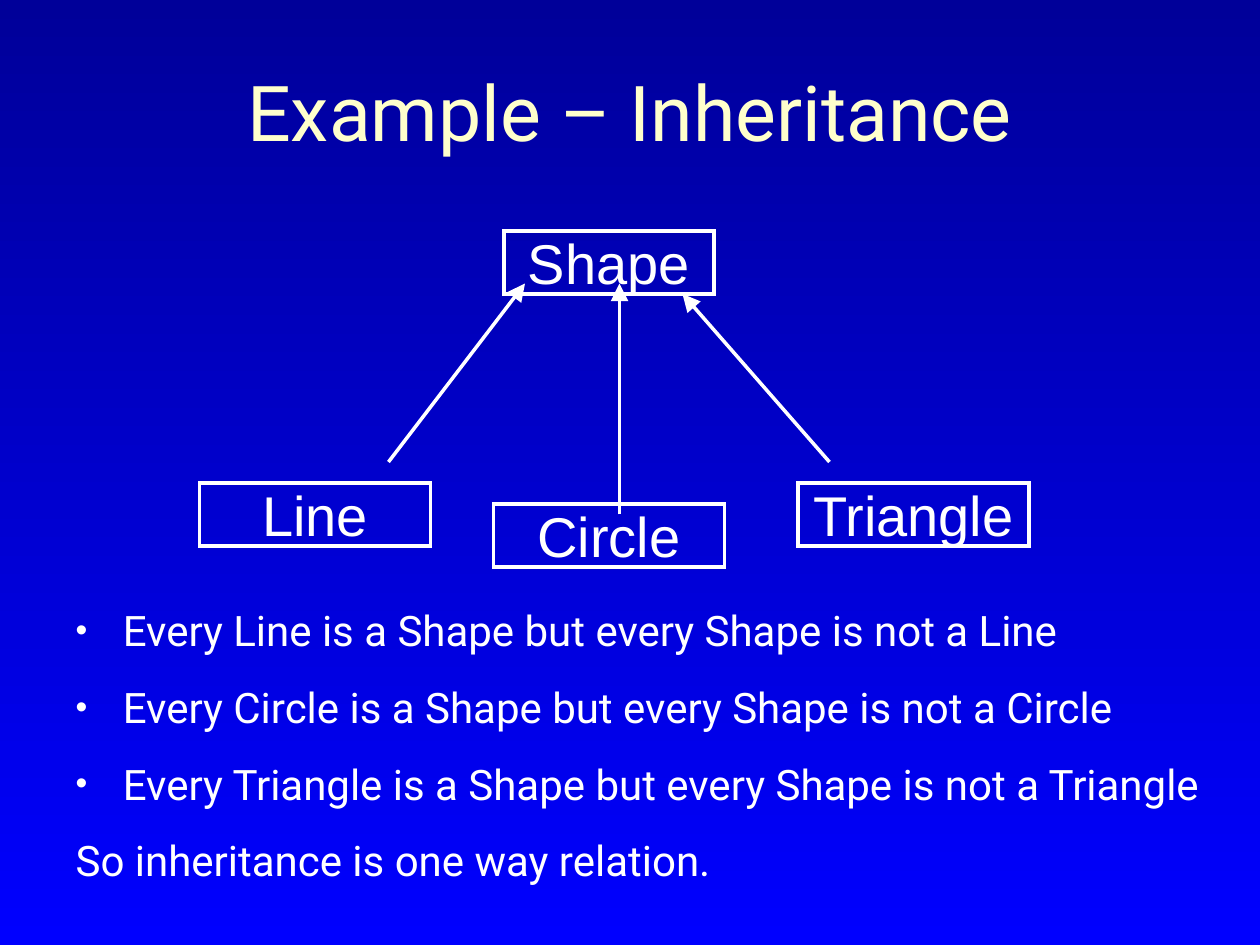
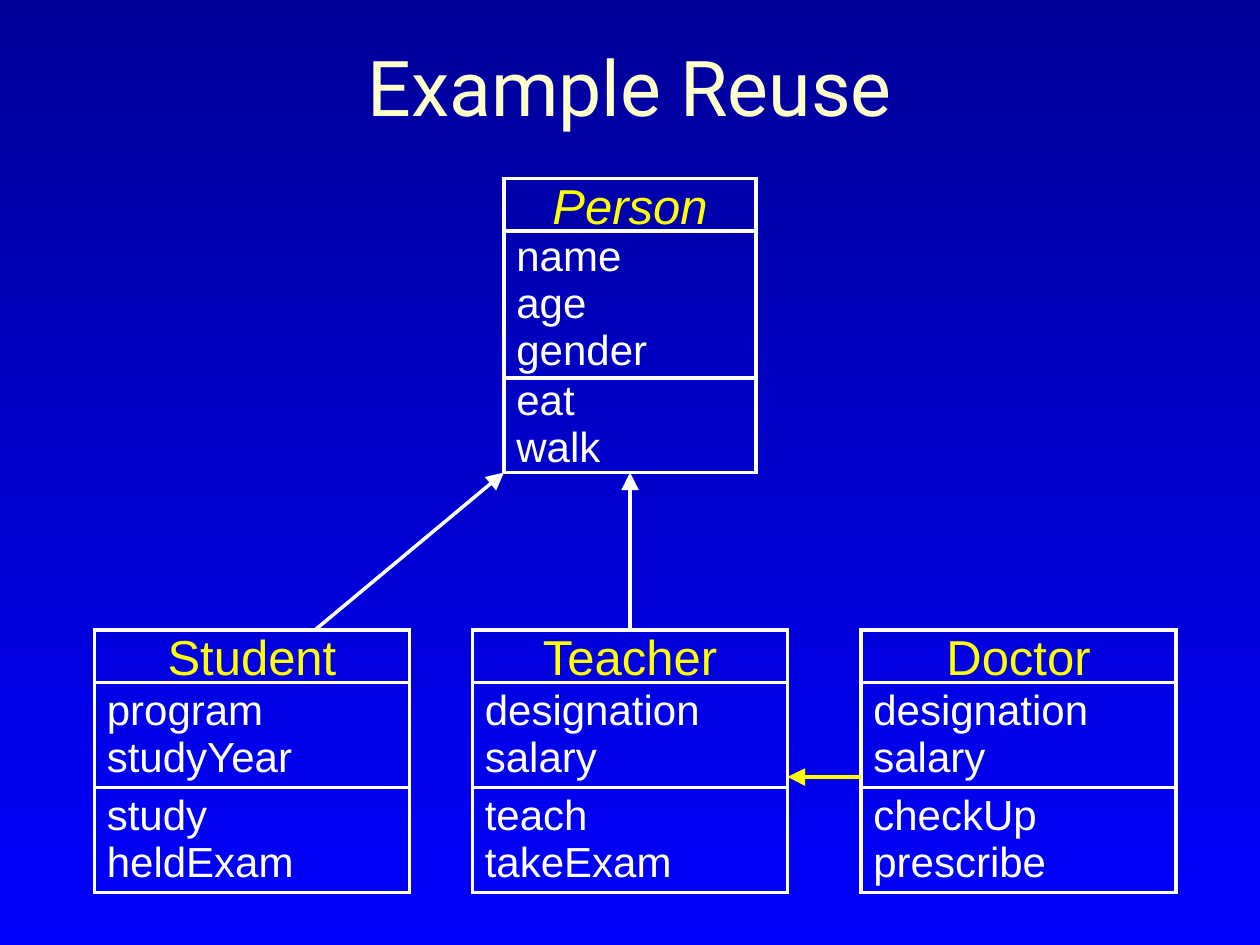
from dataclasses import dataclass

from lxml import etree
from pptx import Presentation
from pptx.dml.color import RGBColor
from pptx.enum.shapes import MSO_CONNECTOR, MSO_SHAPE
from pptx.enum.text import MSO_ANCHOR, MSO_AUTO_SIZE, PP_ALIGN
from pptx.oxml.ns import qn
from pptx.shapes.autoshape import Shape
from pptx.shapes.connector import Connector
from pptx.slide import Slide
from pptx.text.text import TextFrame
from pptx.util import Pt

NAVY = RGBColor(0x00, 0x00, 0x99)
BLUE = RGBColor(0x00, 0x00, 0xFF)
CREAM = RGBColor(0xFF, 0xFF, 0xCC)
WHITE = RGBColor(0xFF, 0xFF, 0xFF)
YELLOW = RGBColor(0xFF, 0xFF, 0x00)

RECT = MSO_SHAPE.RECTANGLE
STRAIGHT = MSO_CONNECTOR.STRAIGHT
LEFT, CENTER = PP_ALIGN.LEFT, PP_ALIGN.CENTER
TOP, MIDDLE = MSO_ANCHOR.TOP, MSO_ANCHOR.MIDDLE
FIXED = MSO_AUTO_SIZE.NONE
TOP_SIDE, LOW_SIDE = 0, 2

LINE_W = Pt(2)
INDENT = Pt(27)


@dataclass(frozen=True)
class Style:
    font: dict
    color: RGBColor
    para: dict
    frame: dict


@dataclass(frozen=True)
class Box:
    text: str
    left: float
    top: float
    width: float
    height: float = 36


@dataclass(frozen=True)
class Arrow:
    start: tuple[float, float]
    end: tuple[float, float]
    color: RGBColor = WHITE


@dataclass(frozen=True)
class Card:
    name: str
    fields: str
    tasks: str
    left: float
    top: float = 360
    width: float = 180
    heights: tuple[float, float, float] = (30, 60, 60)
    slant: bool = False


MID = {"vertical_anchor": MIDDLE, "word_wrap": True, "auto_size": FIXED}
TIGHT = MID | {"margin_top": Pt(0), "margin_bottom": Pt(0)}
TITLE = Style({"name": "Roboto", "size": Pt(44)}, CREAM, {"alignment": CENTER}, MID)
NODE = Style({"name": "Arial", "size": Pt(32)}, WHITE, {"alignment": CENTER}, MID)
HEAD = Style({"name": "Arial", "size": Pt(28), "italic": False}, YELLOW,
             {"alignment": CENTER}, MID)
SLANT = Style(HEAD.font | {"italic": True}, YELLOW, HEAD.para, MID)
PART = Style({"name": "Arial", "size": Pt(24)}, WHITE,
             {"alignment": LEFT, "line_spacing": 0.93}, TIGHT)
LIST = Style({"name": "Roboto", "size": Pt(24)}, WHITE,
             {"alignment": LEFT, "space_before": Pt(15)},
             MID | {"vertical_anchor": TOP})

NODES = (
    Box("Shape", 288, 132, 120),
    Box("Circle", 282, 288, 132),
    Box("Triangle", 456, 276, 132),
    Box("Line", 114, 276, 132),
)
LINKS = (
    Arrow((354, 294), (354, 162)),
    Arrow((222, 264), (300, 162)),
    Arrow((474, 264), (390, 168)),
)
POINTS = tuple(f"Every {kind} is a Shape but every Shape is not a {kind}"
               for kind in ("Line", "Circle", "Triangle"))
CLOSE = "So inheritance is one way relation."

PERSON = Card("Person", "name\nage\ngender", "eat\nwalk",
              288, 102, 144, (30, 84, 54), True)
STUDENT = Card("Student", "program\nstudyYear", "study\nheldExam", 54)
TEACHER = Card("Teacher", "designation\nsalary", "teach\ntakeExam", 270)
DOCTOR = Card("Doctor", "designation\nsalary", "checkUp\nprescribe", 492)


def apply(target: object, values: dict) -> None:
    for key, value in values.items():
        setattr(target, key, value)


def write(frame: TextFrame, text: str, style: Style) -> None:
    frame.text = text
    apply(frame, style.frame)
    for para in frame.paragraphs:
        apply(para, style.para)
        for run in para.runs:
            apply(run.font, style.font)
            run.font.color.rgb = style.color


def place(shape: Shape, left: float, top: float, width: float, height: float) -> None:
    apply(shape, {"left": Pt(left), "top": Pt(top),
                  "width": Pt(width), "height": Pt(height)})


def stroke(shape: Shape | Connector, color: RGBColor) -> etree._Element:
    shape.line.color.rgb = color
    shape.line.width = LINE_W
    line = shape.element.spPr.find(qn("a:ln"))
    etree.SubElement(line, qn("a:miter"), lim="800000")
    return line


def add_box(slide: Slide, box: Box, style: Style) -> Shape:
    shape = slide.shapes.add_shape(
        RECT, Pt(box.left), Pt(box.top), Pt(box.width), Pt(box.height))
    shape.shadow.inherit = False
    shape.fill.background()
    stroke(shape, WHITE)
    write(shape.text_frame, box.text, style)
    return shape


def add_card(slide: Slide, card: Card) -> list[Shape]:
    shapes = []
    top = card.top
    texts = (card.name, card.fields, card.tasks)
    styles = (SLANT if card.slant else HEAD, PART, PART)
    for text, height, style in zip(texts, card.heights, styles):
        shapes.append(add_box(slide, Box(text, card.left, top, card.width, height), style))
        top += height
    return shapes


def add_arrow(slide: Slide, arrow: Arrow) -> Connector:
    link = slide.shapes.add_connector(
        STRAIGHT, *(Pt(n) for n in arrow.start + arrow.end))
    line = stroke(link, arrow.color)
    etree.SubElement(line, qn("a:tailEnd"), type="triangle", w="lg", len="lg")
    etree.SubElement(link.element.spPr, qn("a:effectLst"))
    return link


def add_list(slide: Slide) -> None:
    body = slide.placeholders[1]
    place(body, 36, 342, 684, 190)
    write(body.text_frame, "\n".join((*POINTS, CLOSE)), LIST)
    for para in body.text_frame.paragraphs:
        props = para._p.get_or_add_pPr()
        props.set("marL", str(INDENT))
        props.set("indent", str(-INDENT))
        if para.text == CLOSE:
            etree.SubElement(props, qn("a:buNone"))
            continue
        tint = etree.SubElement(props, qn("a:buClr"))
        etree.SubElement(tint, qn("a:srgbClr"), val=str(WHITE))
        etree.SubElement(props, qn("a:buSzPct"), val="80000")
        etree.SubElement(props, qn("a:buChar"), char="•")


def add_slide(deck: Presentation, layout: int, title: str, height: float) -> Slide:
    slide = deck.slides.add_slide(deck.slide_layouts[layout])
    place(slide.shapes.title, 24, 18, 672, height)
    write(slide.shapes.title.text_frame, title, TITLE)
    fill = slide.background.fill
    fill.gradient()
    fill.gradient_angle = 270
    for stop, color in zip(fill.gradient_stops, (NAVY, BLUE)):
        stop.color.rgb = color
    return slide


def draw_tree(deck: Presentation) -> None:
    slide = add_slide(deck, 1, "Example – Inheritance", 90)
    for node in NODES:
        add_box(slide, node, NODE)
    for link in LINKS:
        add_arrow(slide, link)
    add_list(slide)


def draw_reuse(deck: Presentation) -> None:
    slide = add_slide(deck, 5, "Example Reuse", 62)
    person, student, teacher, doctor = (
        add_card(slide, card) for card in (PERSON, STUDENT, TEACHER, DOCTOR))
    link = add_arrow(slide, Arrow((360, 360), (360, 270)))
    link.begin_connect(teacher[0], TOP_SIDE)
    link.end_connect(person[-1], LOW_SIDE)
    add_arrow(slide, Arrow((180, 360), (288, 270)))
    add_arrow(slide, Arrow((492, 444), (450, 444), YELLOW))


def main() -> None:
    deck = Presentation()
    deck.slide_width, deck.slide_height = Pt(720), Pt(540)
    draw_tree(deck)
    draw_reuse(deck)
    deck.save("out.pptx")


if __name__ == "__main__":
    main()
